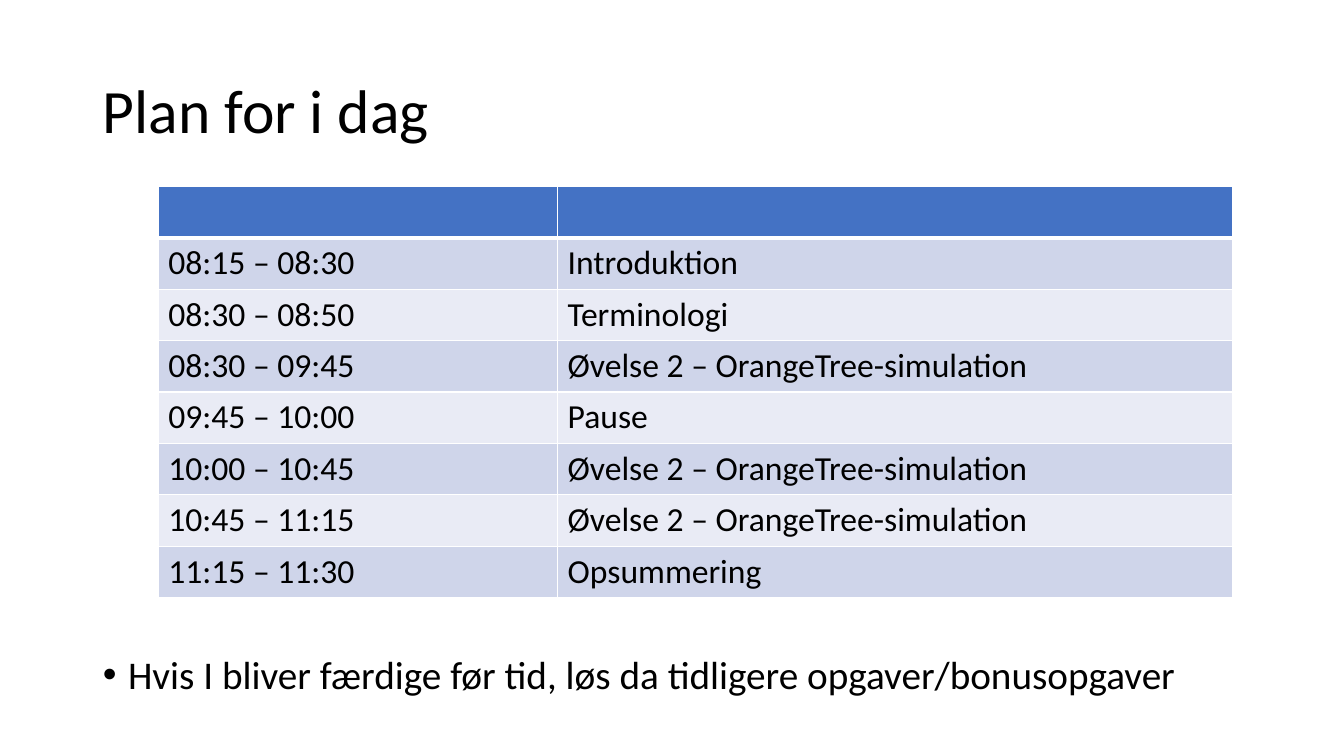
from pptx import Presentation
from pptx.dml.color import RGBColor
from pptx.enum.text import MSO_ANCHOR, MSO_AUTO_SIZE, PP_ALIGN
from pptx.oxml import parse_xml
from pptx.oxml.ns import nsdecls
from pptx.util import Inches, Pt

BLACK = RGBColor(0x00, 0x00, 0x00)
WHITE = RGBColor(0xFF, 0xFF, 0xFF)
HEADER = RGBColor(0x44, 0x72, 0xC4)
BAND_DARK = RGBColor(0xCF, 0xD5, 0xEA)
BAND_LIGHT = RGBColor(0xE9, 0xEB, 0xF5)

MARGIN, CONTENT_W = 0.92, 11.5
COLUMNS = [3.96, 6.7]
ROW_H = 0.51
PLAN = [
    ("", ""),
    ("08:15 – 08:30", "Introduktion"),
    ("08:30 – 08:50", "Terminologi"),
    ("08:30 – 09:45", "Øvelse 2 – OrangeTree-simulation"),
    ("09:45 – 10:00", "Pause"),
    ("10:00 – 10:45", "Øvelse 2 – OrangeTree-simulation"),
    ("10:45 – 11:15", "Øvelse 2 – OrangeTree-simulation"),
    ("11:15 – 11:30", "Opsummering"),
]


def write(tf, text, size):
    tf.text = text
    p = tf.paragraphs[0]
    p.alignment = PP_ALIGN.LEFT
    for r in p.runs:
        r.font.name = "Calibri"
        r.font.size = Pt(size)
        r.font.bold = False
        r.font.color.rgb = BLACK
    return p


def add_border(cell, side, width):
    cell._tc.get_or_add_tcPr().append(parse_xml(
        f'<a:{side} {nsdecls("a")} w="{Pt(width)}"><a:solidFill>'
        f'<a:srgbClr val="{WHITE}"/></a:solidFill></a:{side}>'))


prs = Presentation()
prs.slide_width, prs.slide_height = Inches(13.33), Inches(7.5)
s = prs.slides.add_slide(prs.slide_layouts[1])
title, body = s.placeholders

for sp, top, height, text, size, anchor in [
    (title, 0.4, 1.45, "Plan for i dag", 44, MSO_ANCHOR.MIDDLE),
    (body, 6.45, 0.65, "Hvis I bliver færdige før tid, løs da tidligere opgaver/bonusopgaver",
     28, MSO_ANCHOR.TOP),
]:
    sp.left, sp.top = Inches(MARGIN), Inches(top)
    sp.width, sp.height = Inches(CONTENT_W), Inches(height)
    tf = sp.text_frame
    tf.word_wrap = True
    tf.auto_size = MSO_AUTO_SIZE.NONE
    tf.vertical_anchor = anchor
    p = write(tf, text, size)
    p.line_spacing = 0.9

p.space_before = Pt(10)
pPr = p._p.get_or_add_pPr()
pPr.set("marL", str(Inches(0.25)))
pPr.set("indent", str(Inches(-0.25)))
pPr.append(parse_xml(f'<a:buFont {nsdecls("a")} typeface="Arial"/>'))
pPr.append(parse_xml(f'<a:buChar {nsdecls("a")} char="•"/>'))

table = s.shapes.add_table(
    len(PLAN), len(COLUMNS), Inches(1.57), Inches(1.85),
    Inches(sum(COLUMNS)), Inches(ROW_H * len(PLAN))).table
for column, width in zip(table.columns, COLUMNS):
    column.width = Inches(width)
for i, entries in enumerate(PLAN):
    table.rows[i].height = Inches(ROW_H)
    for j, text in enumerate(entries):
        cell = table.cell(i, j)
        write(cell.text_frame, text, 24)
        for side in ("lnL", "lnR", "lnT", "lnB"):
            header_edge = (i, side) in ((0, "lnB"), (1, "lnT"))
            add_border(cell, side, 3 if header_edge else 1)
        cell.fill.solid()
        cell.fill.fore_color.rgb = HEADER if i == 0 else BAND_DARK if i % 2 else BAND_LIGHT

prs.save("out.pptx")
